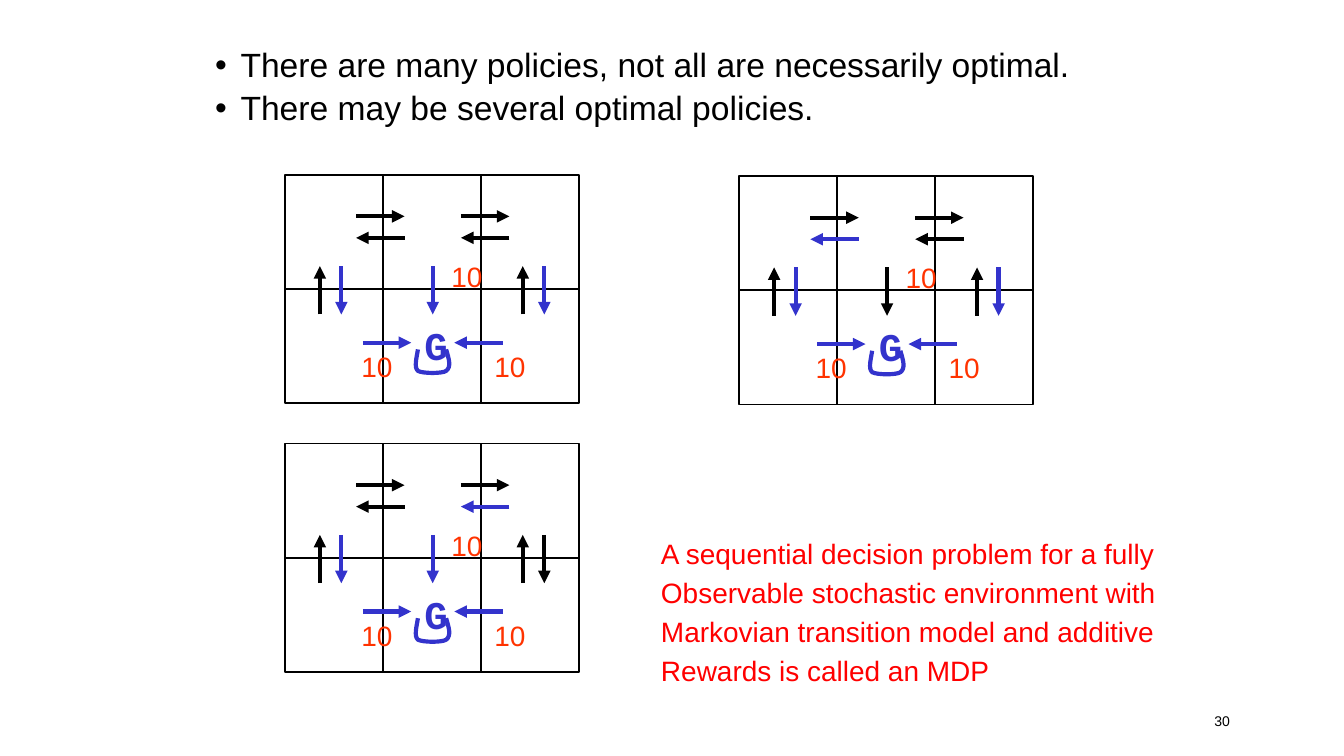
from lxml import etree
from pptx import Presentation, util as u
from pptx.dml import color
from pptx.enum import shapes, text
from pptx.oxml import ns

BLACK, BLUE, ORANGE, RED = "000000", "3333CC", "FF3300", "FF0000"
SLIDE_WIDTH = 10
CELL_WIDTH, CELL_HEIGHT, ARROW_LENGTH = 0.73, 0.85, 0.36
DIRECTIONS = {"right": (1, 0), "left": (-1, 0), "up": (0, -1), "down": (0, 1)}
MOVES = {
    "top left to middle": (0.53, 0.31, "right"),
    "top middle to left": (0.89, 0.47, "left"),
    "top middle to right": (1.31, 0.31, "right"),
    "top right to middle": (1.67, 0.47, "left"),
    "right column down": (1.93, 0.68, "down"),
    "right column up": (1.77, 1.04, "up"),
    "left column up": (0.26, 1.04, "up"),
    "left column down": (0.42, 0.68, "down"),
    "bottom left to goal": (0.58, 1.25, "right"),
    "bottom right to goal": (1.62, 1.25, "left"),
    "middle column down": (1.1, 0.68, "down"),
}
SHARED_MOVES = {"left column down", "bottom left to goal", "bottom right to goal"}
POLICIES = [
    (2.12, 1.3, {"right column down", "middle column down"}),
    (5.5, 1.31, {"right column down", "top middle to left"}),
    (2.12, 3.3, {"middle column down", "top right to middle"}),
]
REWARDS = [(1.14, 0.58), (1.46, 1.25), (0.47, 1.25)]
GOAL_LOOP = [
    [(0.99, 1.3), (0.98, 1.37), (0.96, 1.43), (0.99, 1.46)],
    [(0.99, 1.46), (1.03, 1.48), (1.17, 1.48), (1.2, 1.46)],
    [(1.2, 1.46), (1.24, 1.43), (1.22, 1.37), (1.2, 1.3)],
]


def rgb(value):
    """Return the colour for a hex string."""
    return color.RGBColor.from_string(value)


def style_line(line, value, width):
    """Set the colour and width of a line."""
    line.color.rgb = rgb(value)
    line.width = u.Pt(width)


def style_paragraph(paragraph, size, value, name="Arial", bold=False):
    """Set the font of a whole paragraph."""
    font = paragraph.font
    font.name, font.size, font.bold = name, u.Pt(size), bold
    font.color.rgb = rgb(value)


def add_text(parent, box, lines, size, value, name="Arial", bold=False,
             space=0, align=text.PP_ALIGN.LEFT, wrap=False):
    """Add a text box with one paragraph for each line."""
    frame = parent.add_textbox(*map(u.Inches, box)).text_frame
    frame.word_wrap = wrap
    frame.text = "\n".join(lines)
    for index, paragraph in enumerate(frame.paragraphs):
        style_paragraph(paragraph, size, value, name, bold)
        paragraph.alignment = align
        paragraph.space_before = u.Pt(space if index else 0)


def add_cell(parent, left, top):
    """Add one outlined grid cell."""
    shape = parent.add_shape(shapes.MSO_SHAPE.RECTANGLE, u.Inches(left), u.Inches(top),
                             u.Inches(CELL_WIDTH), u.Inches(CELL_HEIGHT))
    shape.shadow.inherit = False
    shape.fill.background()
    style_line(shape.line, BLACK, 1)


def add_arrow(parent, x, y, direction, value):
    """Add an arrow of fixed length from a point."""
    step_x, step_y = DIRECTIONS[direction]
    ends = (x, y, x + step_x * ARROW_LENGTH, y + step_y * ARROW_LENGTH)
    arrow = parent.add_connector(shapes.MSO_CONNECTOR.STRAIGHT, *map(u.Inches, ends))
    style_line(arrow.line, value, 2.25)
    etree.SubElement(arrow.line._get_or_add_ln(), ns.qn("a:tailEnd"), type="triangle")
    etree.SubElement(arrow._element.spPr, ns.qn("a:effectLst"))


def bezier(points, t):
    """Return the point at t on a cubic curve."""
    weights = ((1 - t) ** 3, 3 * t * (1 - t) ** 2, 3 * t ** 2 * (1 - t), t ** 3)
    return tuple(sum(w * p[axis] for w, p in zip(weights, points)) for axis in (0, 1))


def add_goal_loop(parent, left, top):
    """Add the open loop that stays in the goal cell."""
    points = [bezier(curve, step / 8) for curve in GOAL_LOOP for step in range(9)]
    points = [(u.Inches(left + x), u.Inches(top + y)) for x, y in points]
    builder = parent.build_freeform(*points[0])
    builder.add_line_segments(points[1:], close=False)
    shape = builder.convert_to_shape()
    shape.shadow.inherit = False
    shape.fill.background()
    style_line(shape.line, BLUE, 2.25)


def add_policy(slide, left, top, chosen):
    """Add a grid world with the chosen moves in blue."""
    parent = slide.shapes.add_group_shape().shapes
    for column in range(3):
        for row in range(2):
            add_cell(parent, left + column * CELL_WIDTH, top + row * CELL_HEIGHT)
    for move, (x, y, direction) in MOVES.items():
        value = BLUE if move in chosen | SHARED_MOVES else BLACK
        add_arrow(parent, left + x, top + y, direction, value)
    add_text(parent, (left + 0.94, top + 1.04, 0.38, 0.45), ["G"], 21, BLUE,
             "Courier New", True)
    add_goal_loop(parent, left, top)
    for x, y in REWARDS:
        add_text(parent, (left + x, top + y, 0.44, 0.35), ["10"], 15, ORANGE)


def fill_body(slide, lines):
    """Place the bullet list in the body placeholder."""
    body = slide.placeholders[1]
    body.left, body.top, body.width, body.height = map(u.Inches, (1.5, 0.31, 6.94, 0.69))
    frame = body.text_frame
    frame.text = "\n".join(lines)
    frame.auto_size = text.MSO_AUTO_SIZE.NONE
    for index, paragraph in enumerate(frame.paragraphs):
        style_paragraph(paragraph, 18, BLACK)
        paragraph.line_spacing = 0.9
        paragraph.space_before = u.Pt(3.6 if index else 0)
        properties = paragraph._p.get_or_add_pPr()
        properties.set("marL", str(u.Inches(0.19)))
        properties.set("indent", str(u.Inches(-0.19)))
        etree.SubElement(properties, ns.qn("a:buChar"), char="•")
        properties.append(properties.find(ns.qn("a:defRPr")))


def main():
    """Build and save the slide."""
    presentation = Presentation()
    presentation.slide_width = u.Inches(SLIDE_WIDTH)
    presentation.slide_height = u.Inches(SLIDE_WIDTH * 9 / 16)
    slide = presentation.slides.add_slide(presentation.slide_layouts[1])
    title = slide.shapes.title._element
    title.getparent().remove(title)
    add_text(slide.shapes, (6.83, 5.25, 2.42, 0.25), ["30"], 7.5, BLACK,
             align=text.PP_ALIGN.RIGHT, wrap=True)
    fill_body(slide, ["There are many policies, not all are necessarily optimal.",
                      "There may be several optimal policies."])
    for left, top, chosen in POLICIES:
        add_policy(slide, left, top, chosen)
    add_text(slide.shapes, (4.82, 3.94, 3.93, 1.26),
             ["A sequential decision problem for a fully",
              "Observable stochastic environment with",
              "Markovian transition model and additive",
              "Rewards is called an MDP"], 15, RED, space=3, wrap=True)
    presentation.save("out.pptx")


if __name__ == "__main__":
    main()
